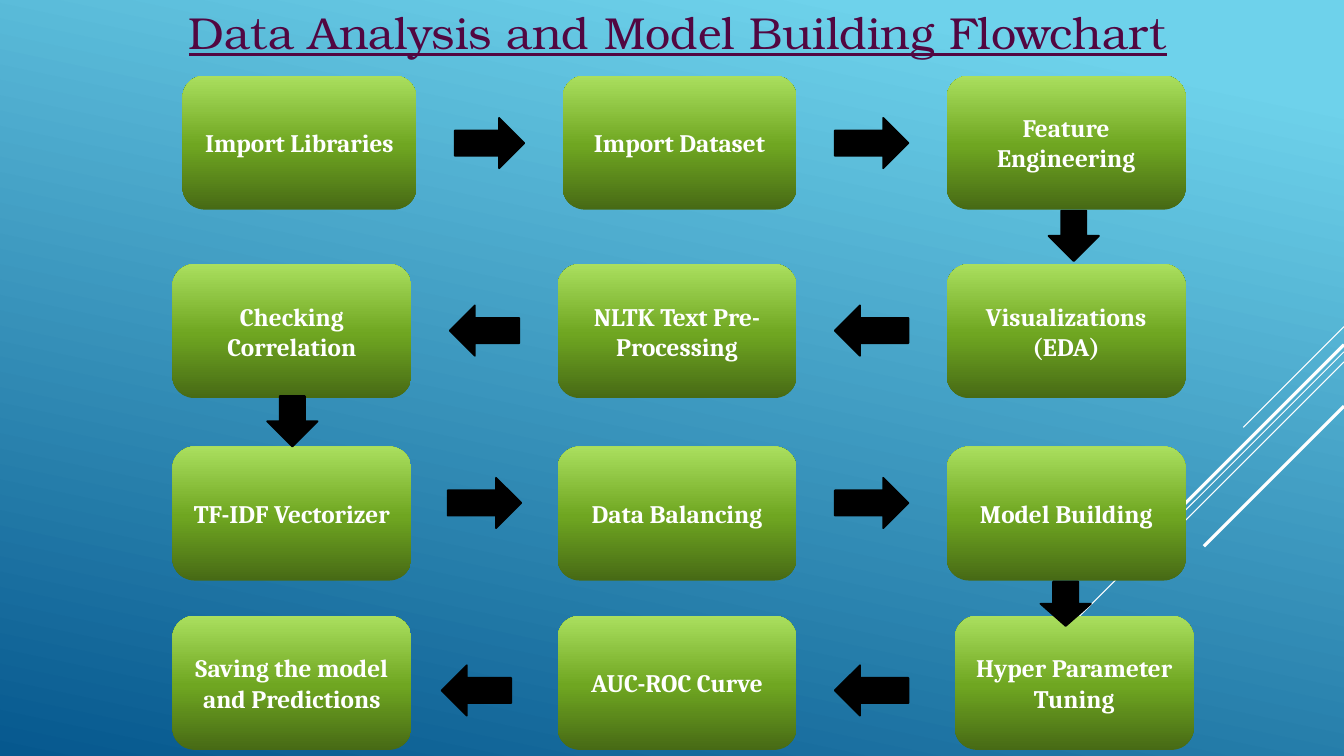
from dataclasses import dataclass

from lxml import etree
from pptx import Presentation
from pptx.dml.color import RGBColor
from pptx.enum import shapes, text
from pptx.oxml import ns
from pptx.util import Inches, Pt

WHITE = RGBColor(0xFF, 0xFF, 0xFF)
BLACK = RGBColor(0x00, 0x00, 0x00)
PLUM = RGBColor(0x52, 0x07, 0x41)
SKY = RGBColor(0x6E, 0xD2, 0xEB)
OCEAN = RGBColor(0x06, 0x58, 0x8E)
DARK_GREEN = RGBColor(0x47, 0x6A, 0x15)
GREEN = RGBColor(0x6F, 0xA6, 0x21)
LIGHT_GREEN = RGBColor(0xAA, 0xDF, 0x5E)

SKY_STOPS = [(10, SKY), (100, OCEAN)]
BOX_STOPS = [(0, DARK_GREEN), (48, GREEN), (100, LIGHT_GREEN)]

RIGHT = shapes.MSO_SHAPE.RIGHT_ARROW
LEFT = shapes.MSO_SHAPE.LEFT_ARROW
DOWN = shapes.MSO_SHAPE.DOWN_ARROW

COLUMNS = (1.71, 5.53, 9.39)
ROWS = (0.75, 2.62, 4.43, 6.11)
BOX_WIDTH, BOX_HEIGHT = 2.37, 1.33


@dataclass
class Step:
    column: int
    row: int
    label: str
    shift: float = 0
    width: float = BOX_WIDTH


@dataclass
class Arrow:
    kind: shapes.MSO_SHAPE
    left: float
    top: float
    width: float = 0.73
    height: float = 0.5


@dataclass
class Ray:
    """A diagonal that runs down and left from the right edge."""
    top: float
    length: float
    weight: float = 0.75


RAYS = [Ray(3.24, 1), Ray(3.49, 3.26), Ray(3.59, 2.07),
        Ray(3.42, 1.91, 2.25), Ray(4.03, 1.39, 2.25)]

STEPS = [
    Step(0, 0, "Import Libraries", shift=0.1, width=2.32),
    Step(1, 0, "Import Dataset", shift=0.05, width=2.32),
    Step(2, 0, "Feature Engineering"),
    Step(2, 1, "Visualizations\n(EDA)"),
    Step(1, 1, "NLTK Text Pre-Processing"),
    Step(0, 1, "Checking Correlation"),
    Step(0, 2, "TF-IDF Vectorizer"),
    Step(1, 2, "Data Balancing"),
    Step(2, 2, "Model Building"),
    Step(2, 3, "Hyper Parameter Tuning", shift=0.08),
    Step(1, 3, "AUC-ROC Curve"),
    Step(0, 3, "Saving the model and Predictions"),
]

ARROWS = [
    Arrow(RIGHT, 4.51, 1.17, width=0.69),
    Arrow(RIGHT, 8.28, 1.17),
    Arrow(DOWN, 10.4, 2.09, width=0.5),
    Arrow(LEFT, 8.28, 3.03),
    Arrow(LEFT, 4.46, 3.03, width=0.69),
    Arrow(DOWN, 2.65, 3.93, width=0.5),
    Arrow(RIGHT, 4.44, 4.74),
    Arrow(RIGHT, 8.28, 4.74),
    Arrow(DOWN, 10.32, 5.77, width=0.5, height=0.44),
    Arrow(LEFT, 8.28, 6.6),
    Arrow(LEFT, 4.38, 6.6, width=0.69),
]


def set_gradient(fill, element, stops: list, angle: int) -> None:
    """Give the fill, which lies inside element, its stops and clockwise angle."""
    fill.gradient()
    gradient = element.find(".//" + ns.qn("a:gradFill"))
    stop_list = gradient.find(ns.qn("a:gsLst"))
    for stop in list(stop_list):
        stop_list.remove(stop)
    for position, color in stops:
        stop = etree.SubElement(stop_list, ns.qn("a:gs"), pos=str(position * 1000))
        etree.SubElement(stop, ns.qn("a:srgbClr"), val=str(color))
    gradient.find(ns.qn("a:lin")).set("ang", str(angle * 60000))


def write_text(shape, content: str, *, font: str, size: float, color: RGBColor,
               anchor=text.MSO_ANCHOR.MIDDLE, bold=False, underline=False) -> None:
    frame = shape.text_frame
    frame.word_wrap = True
    frame.vertical_anchor = anchor
    frame.text = content
    for paragraph in frame.paragraphs:
        paragraph.alignment = text.PP_ALIGN.CENTER
        for run in paragraph.runs:
            run.font.name = font
            run.font.size = Pt(size)
            run.font.color.rgb = color
            run.font.bold = bold
            run.font.underline = underline


def draw_ray(slide, ray: Ray, right: float) -> None:
    line = slide.shapes.add_connector(
        shapes.MSO_CONNECTOR.STRAIGHT, Inches(right), Inches(ray.top),
        Inches(right - ray.length), Inches(ray.top + ray.length))
    line.line.color.rgb = WHITE
    line.line.width = Pt(ray.weight)
    etree.SubElement(line._element.spPr, ns.qn("a:effectLst"))


def draw_step(slide, step: Step) -> None:
    box = slide.shapes.add_shape(
        shapes.MSO_SHAPE.FLOWCHART_ALTERNATE_PROCESS,
        Inches(COLUMNS[step.column] + step.shift), Inches(ROWS[step.row]),
        Inches(step.width), Inches(BOX_HEIGHT))
    box.shadow.inherit = False
    box.line.fill.background()
    set_gradient(box.fill, box._element.spPr, BOX_STOPS, 270)
    write_text(box, step.label, font="Cambria", size=18, color=WHITE, bold=True)


def draw_arrow(slide, arrow: Arrow) -> None:
    shape = slide.shapes.add_shape(arrow.kind, Inches(arrow.left), Inches(arrow.top),
                                   Inches(arrow.width), Inches(arrow.height))
    shape.shadow.inherit = False
    shape.fill.solid()
    shape.fill.fore_color.rgb = BLACK
    shape.line.color.rgb = BLACK
    shape.line.width = Pt(1.25)


def main() -> None:
    presentation = Presentation()
    presentation.slide_width = Inches(13.33)
    presentation.slide_height = Inches(7.5)
    slide = presentation.slides.add_slide(presentation.slide_layouts[5])

    # Background and diagonal rays
    set_gradient(slide.background.fill, slide._element, SKY_STOPS, 102)
    for ray in RAYS:
        draw_ray(slide, ray, right=13.33)

    # Title
    title = slide.shapes.title
    title.left, title.top = Inches(0.59), Inches(0)
    title.width, title.height = Inches(12.27), Inches(0.94)
    write_text(title, "Data Analysis and Model Building Flowchart", font="TeX Gyre Bonum",
               size=32, color=PLUM, anchor=text.MSO_ANCHOR.TOP, underline=True)
    title.text_frame.auto_size = text.MSO_AUTO_SIZE.SHAPE_TO_FIT_TEXT

    # Flowchart
    for step in STEPS:
        draw_step(slide, step)
    for arrow in ARROWS:
        draw_arrow(slide, arrow)

    presentation.save("out.pptx")


if __name__ == "__main__":
    main()
